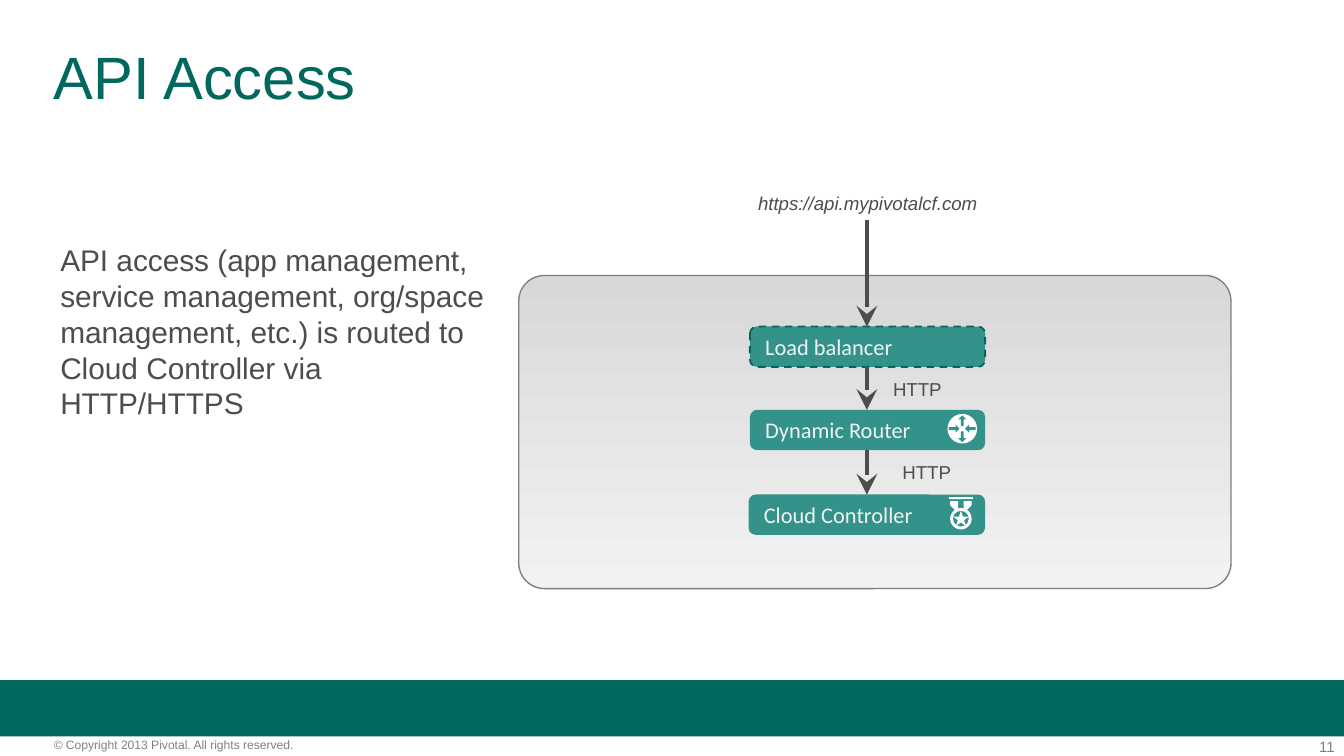
from lxml import etree
from pptx import Presentation
from pptx import util as u
from pptx.dml.color import RGBColor
from pptx.enum import dml, shapes, text
from pptx.oxml import ns

COLUMNS, ROWS = 100, 56.25
CELL = u.Inches(0.1)

GREEN = RGBColor(0x00, 0x68, 0x5D)
TEAL = RGBColor(0x33, 0x92, 0x8A)
INK = RGBColor(0x4D, 0x4D, 0x4D)
GRAY = RGBColor(0x80, 0x80, 0x80)
BORDER = RGBColor(0x7F, 0x7F, 0x7F)
PANEL_TOP = RGBColor(0xD8, 0xD8, 0xD8)
PANEL_BOTTOM = RGBColor(0xF2, 0xF2, 0xF2)
WHITE = RGBColor(0xFF, 0xFF, 0xFF)

KIND = shapes.MSO_SHAPE
ALIGN = text.PP_ALIGN
NODE_HEIGHT = 3
FLOW_X = 64.5
PADDING = (1, 0.5)


def grid(*cells):
    return [u.Emu(round(cell * CELL)) for cell in cells]


def write(box, words, size, color, font="Arial", align=ALIGN.LEFT,
          padding=(0, 0), anchor=text.MSO_ANCHOR.TOP, italic=None, spacing=None):
    frame = box.text_frame
    frame.word_wrap = True
    frame.vertical_anchor = anchor
    frame.margin_left = frame.margin_right = grid(padding[0])[0]
    frame.margin_top = frame.margin_bottom = grid(padding[1])[0]
    para = frame.paragraphs[0]
    para.alignment = align
    para.line_spacing = spacing
    span = para.add_run()
    span.text = words
    span.font.name = font
    span.font.size = u.Pt(size)
    span.font.color.rgb = color
    span.font.italic = italic


def add_text(page, area, words, size, color, **style):
    write(page.shapes.add_textbox(*grid(*area)), words, size, color, **style)


def fill_plain(shape, color):
    shape.shadow.inherit = False
    shape.fill.solid()
    shape.fill.fore_color.rgb = color
    shape.line.fill.background()


def add_block(page, kind, area, color, adjust=None):
    block = page.shapes.add_shape(kind, *grid(*area))
    fill_plain(block, color)
    if adjust is not None:
        block.adjustments[0] = adjust
    return block


def add_panel(page, area):
    panel = add_block(page, KIND.ROUNDED_RECTANGLE, area, PANEL_TOP, 0.082)
    panel.fill.gradient()
    panel.fill.gradient_angle = 270
    for stop, color in zip(panel.fill.gradient_stops, (PANEL_TOP, PANEL_BOTTOM)):
        stop.color.rgb = color
    panel.line.color.rgb = BORDER
    panel.line.width = u.Pt(0.75)


def add_node(page, left, top, width, words, dashed):
    area = (left, top, width, NODE_HEIGHT)
    node = add_block(page, KIND.ROUNDED_RECTANGLE, area, TEAL, 0.177)
    if dashed:
        node.line.color.rgb = GREEN
        node.line.width = u.Pt(1)
        node.line.dash_style = dml.MSO_LINE.DASH
    write(node, words, 12, PANEL_BOTTOM, font="Calibri", padding=(1, 0),
          anchor=text.MSO_ANCHOR.MIDDLE)


def add_arrow(page, top, bottom):
    arrow = page.shapes.add_connector(
        shapes.MSO_CONNECTOR.STRAIGHT, *grid(FLOW_X, top, FLOW_X, bottom))
    arrow.line.color.rgb = INK
    arrow.line.width = u.Pt(2.25)
    etree.SubElement(arrow.line._get_or_add_ln(), ns.qn("a:tailEnd"),
                     type="stealth", w="lg", len="lg")
    etree.SubElement(arrow._element.spPr, ns.qn("a:effectLst"))


def add_router_icon(page, x, y):
    add_block(page, KIND.OVAL, (x - 1.1, y - 1.1, 2.2, 2.2), WHITE)
    for kind, left, top, width, height in (
            (KIND.UP_ARROW, -0.3, -1, 0.6, 0.8),
            (KIND.DOWN_ARROW, -0.3, 0.2, 0.6, 0.8),
            (KIND.RIGHT_ARROW, -1, -0.3, 0.8, 0.6),
            (KIND.LEFT_ARROW, 0.2, -0.3, 0.8, 0.6)):
        add_block(page, kind, (x + left, y + top, width, height), TEAL, 0.35)


def add_medal_icon(page, x, top):
    add_block(page, KIND.RECTANGLE, (x - 0.9, top, 1.8, 0.15), WHITE)
    for side in (-1, 1):
        corners = [grid(x + side * across, top + down) for across, down in
                   ((0.8, 0.3), (0.2, 0.3), (0.2, 0.8), (0.4, 1), (0.8, 0.6))]
        builder = page.shapes.build_freeform(*corners[0])
        builder.add_line_segments(corners[1:])
        fill_plain(builder.convert_to_shape(), WHITE)
    add_block(page, KIND.DONUT, (x - 0.8, top + 0.8, 1.6, 1.6), WHITE, 0.13)
    add_block(page, KIND.STAR_5_POINT, (x - 0.6, top + 1, 1.2, 1.15), WHITE)


def main():
    deck = Presentation()
    deck.slide_width, deck.slide_height = grid(COLUMNS, ROWS)
    page = deck.slides.add_slide(deck.slide_layouts[6])

    add_block(page, KIND.RECTANGLE, (0, 50.6, COLUMNS, 4.2), GREEN)
    add_text(page, (93.5, 54.9, 5.8, 1.3), "11", 8, GRAY, align=ALIGN.RIGHT)
    add_text(page, (4, 54.9, 24.9, 1.1),
             "© Copyright 2013 Pivotal. All rights reserved.", 6.5, GRAY)
    add_text(page, (4, 3.6, 92, 5), "API Access", 32, GREEN, spacing=0.9)
    add_text(page, (3.5, 17.5, 33.9, 27.9),
             "API access (app management, service management, org/space "
             "management, etc.) is routed to Cloud Controller via HTTP/HTTPS",
             16, INK, padding=PADDING)

    add_panel(page, (38.6, 20.5, 53, 23.3))
    source = 16.4
    for left, top, width, words, dashed in (
            (55.8, 24.3, 17.5, "Load balancer", True),
            (55.8, 30.5, 17.5, "Dynamic Router", False),
            (55.7, 36.8, 17.6, "Cloud Controller", False)):
        add_node(page, left, top, width, words, dashed)
        add_arrow(page, source, top)
        source = top + NODE_HEIGHT
    add_router_icon(page, 71.6, 31.9)
    add_medal_icon(page, 71.5, 37)

    for area, words, italic in (
            ((55.1, 13.8, 18.9, 2.7), "https://api.mypivotalcf.com", True),
            ((65.4, 27.6, 5.7, 2.7), "HTTP", None),
            ((66.1, 33.8, 5.7, 2.7), "HTTP", None)):
        add_text(page, area, words, 10, INK, align=ALIGN.CENTER,
                 padding=PADDING, italic=italic)

    deck.save("out.pptx")


if __name__ == "__main__":
    main()
